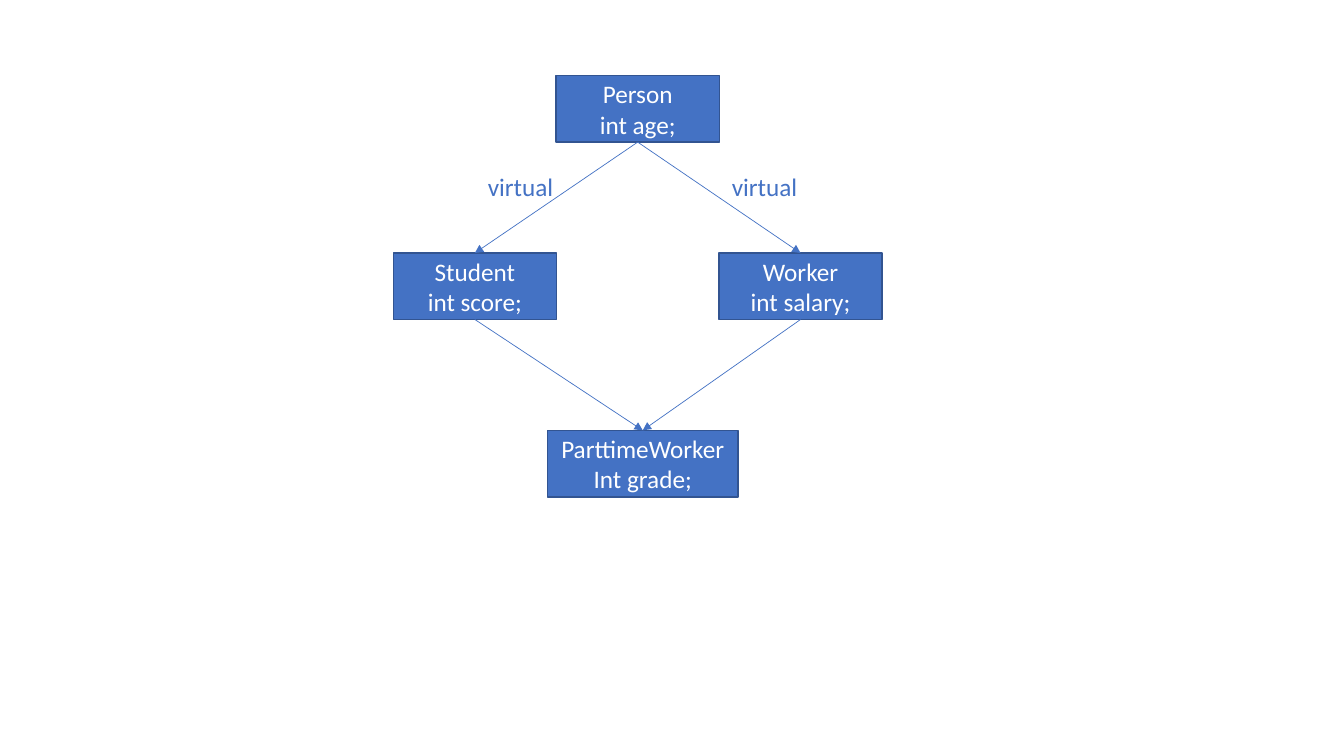
from dataclasses import dataclass

from lxml import etree
from pptx import Presentation
from pptx.dml.color import RGBColor
from pptx.enum import shapes, text
from pptx.oxml.ns import qn
from pptx.util import Inches, Pt


@dataclass(frozen=True)
class Theme:
    blue: RGBColor = RGBColor(0x44, 0x72, 0xC4)
    border: RGBColor = RGBColor(0x32, 0x54, 0x91)
    white: RGBColor = RGBColor(0xFF, 0xFF, 0xFF)
    font: str = "Calibri"
    size: int = 18
    border_width: float = 1
    arrow_width: float = 0.5


THEME = Theme()
BOTTOM, TOP = 2, 0
ROW_STEP, COLUMN_STEP = 1.76, 1.615
CLASS_WIDTH, CLASS_HEIGHT = 1.62, 0.66

# name: (member, column, row, width, shift to the right)
CLASSES = {
    "Person": ("int age;", 1, 0, CLASS_WIDTH, 0),
    "Student": ("int score;", 0, 1, CLASS_WIDTH, 0),
    "Worker": ("int salary;", 2, 1, CLASS_WIDTH, 0),
    "ParttimeWorker": ("Int grade;", 1, 2, 1.89, 0.05),
}
INHERITANCE = [
    ("Person", "Worker"),
    ("Person", "Student"),
    ("Student", "ParttimeWorker"),
    ("Worker", "ParttimeWorker"),
]
LABEL_OFFSETS = (0.84, 3.26)


def format_text(frame, color, align):
    for para in frame.paragraphs:
        para.alignment = align
        for span in para.runs:
            span.font.name = THEME.font
            span.font.size = Pt(THEME.size)
            span.font.color.rgb = color


def add_class(page, left, top, width, name, member):
    box = page.shapes.add_shape(
        shapes.MSO_SHAPE.RECTANGLE,
        Inches(left), Inches(top), Inches(width), Inches(CLASS_HEIGHT))
    box.shadow.inherit = False
    box.fill.solid()
    box.fill.fore_color.rgb = THEME.blue
    box.line.color.rgb = THEME.border
    box.line.width = Pt(THEME.border_width)
    frame = box.text_frame
    frame.text = f"{name}\n{member}"
    frame.vertical_anchor = text.MSO_ANCHOR.MIDDLE
    format_text(frame, THEME.white, text.PP_ALIGN.CENTER)
    return box


def add_arrow(page, base, derived):
    arrow = page.shapes.add_connector(shapes.MSO_CONNECTOR.STRAIGHT, 0, 0, 0, 0)
    arrow.begin_connect(base, BOTTOM)
    arrow.end_connect(derived, TOP)
    arrow.line.color.rgb = THEME.blue
    arrow.line.width = Pt(THEME.arrow_width)
    etree.SubElement(arrow.line._get_or_add_ln(), qn("a:tailEnd"), type="triangle")
    etree.SubElement(arrow._element.spPr, qn("a:effectLst"))


def add_label(page, left, top, wording):
    label = page.shapes.add_textbox(
        Inches(left), Inches(top), Inches(0.86), Inches(0.4))
    frame = label.text_frame
    frame.text = wording
    frame.word_wrap = False
    frame.auto_size = text.MSO_AUTO_SIZE.SHAPE_TO_FIT_TEXT
    format_text(frame, THEME.blue, text.PP_ALIGN.LEFT)


def add_diamond(page, left, top):
    """Draw the inheritance diagram from its top left corner."""
    boxes = {}
    for name, (member, column, row, width, shift) in CLASSES.items():
        center = left + CLASS_WIDTH / 2 + column * COLUMN_STEP + shift
        boxes[name] = add_class(
            page, center - width / 2, top + row * ROW_STEP, width, name, member)
    for base, derived in INHERITANCE:
        add_arrow(page, boxes[base], boxes[derived])
    for offset in LABEL_OFFSETS:
        add_label(page, left + offset, top + 0.9, "virtual")


def main():
    deck = Presentation()
    deck.slide_width, deck.slide_height = Inches(13.33), Inches(7.5)
    page = deck.slides.add_slide(deck.slide_layouts.get_by_name("Blank"))
    add_diamond(page, 3.9, 0.75)
    deck.save("out.pptx")


if __name__ == "__main__":
    main()
